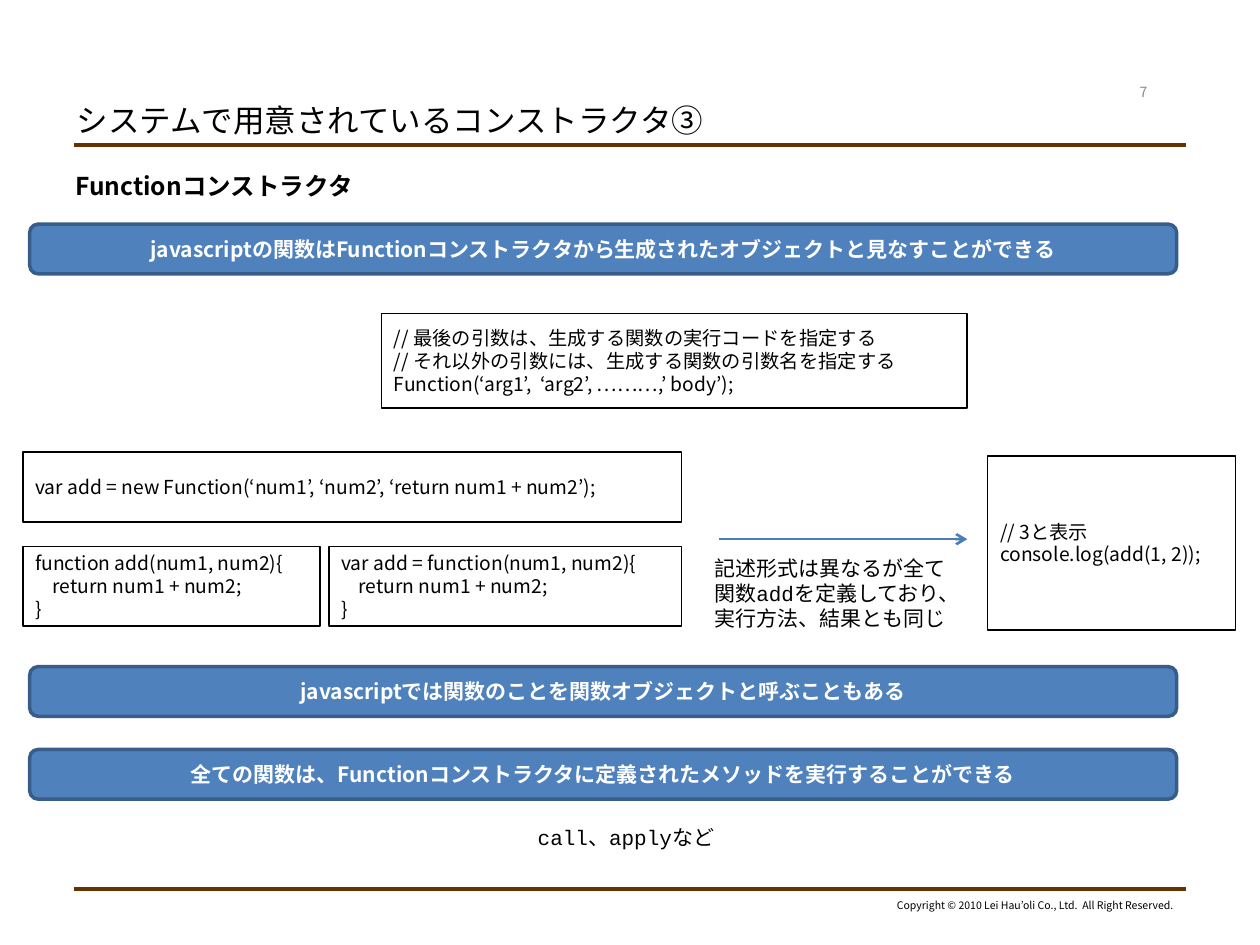
"""Build the slide on the Function constructor."""
from lxml.etree import SubElement
from pptx import Presentation
from pptx.dml.color import RGBColor
from pptx.enum.shapes import MSO_CONNECTOR as Line, MSO_SHAPE as Kind
from pptx.enum.text import MSO_ANCHOR as Anchor, PP_ALIGN as Align
from pptx.oxml.ns import qn
from pptx.util import Cm, Pt

BLACK = RGBColor(0x00, 0x00, 0x00)
WHITE = RGBColor(0xFF, 0xFF, 0xFF)
GRAY = RGBColor(0x89, 0x89, 0x89)
BROWN = RGBColor(0x66, 0x33, 0x00)
BLUE = RGBColor(0x4F, 0x81, 0xBD)
NAVY = RGBColor(0x38, 0x5D, 0x8A)
ARROW = RGBColor(0x4A, 0x7E, 0xBB)
SANS, MONO = "Noto Sans CJK JP", "Courier New"
PITCH = 1.19

RULES = [2.92, 17.93]
BARS = [
    (4.52, "javascriptの関数はFunctionコンストラクタから生成されたオブジェクトと見なすことができる"),
    (13.44, "javascriptでは関数のことを関数オブジェクトと呼ぶこともある"),
    (15.11, "全ての関数は、Functionコンストラクタに定義されたメソッドを実行することができる"),
]
CODES = [
    ((7.69, 6.32, 11.81, 1.91), [
        "// 最後の引数は、生成する関数の実行コードを指定する",
        "// それ以外の引数には、生成する関数の引数名を指定する",
        "Function(‘arg1’,  ‘arg2’, ………,’ body’);"]),
    ((0.46, 9.12, 13.28, 1.4), [
        "var add = new Function(‘num1’, ‘num2’, ‘return num1 + num2’);"]),
    ((0.46, 11.02, 6.0, 1.6), [
        "function add(num1, num2){", "    return num1 + num2;", "}"]),
    ((6.63, 11.02, 7.11, 1.6), [
        "var add = function(num1, num2){", "    return num1 + num2;", "}"]),
    ((19.91, 9.19, 5.0, 3.51), ["// 3と表示", "console.log(add(1, 2));"]),
]
TEXTS = [
    ((1.3, 1.93, 14.43, 0.99), ["システムで用意されているコンストラクタ③"],
     dict(size=18, anchor=Anchor.MIDDLE)),
    ((22.3, 1.55, 1.5, 0.61), ["7"],
     dict(size=8, color=GRAY, align=Align.CENTER, anchor=Anchor.MIDDLE)),
    ((1.27, 3.33, 22.86, 14.2), ["Functionコンストラクタ"], dict(size=14, bold=True)),
    ((14.15, 11.07, 5.69, 1.78),
     ["記述形式は異なるが全て", "関数addを定義しており、", "実行方法、結果とも同じ"],
     dict(size=12, font=MONO, wrap=False)),
    ((10.59, 16.51, 4.37, 0.76), ["call、applyなど"],
     dict(size=12, font=MONO, wrap=False)),
    ((17.75, 18.01, 6.15, 0.51),
     ["Copyright © 2010 Lei Hau’oli Co., Ltd.  All Right Reserved."],
     dict(size=6, align=Align.RIGHT, wrap=False)),
]


def write(shape, lines, size, color=BLACK, font=SANS, bold=False,
          align=Align.LEFT, anchor=Anchor.TOP, wrap=True):
    frame = shape.text_frame
    frame.word_wrap = wrap
    frame.vertical_anchor = anchor
    for i, line in enumerate(lines):
        para = frame.paragraphs[0] if i == 0 else frame.add_paragraph()
        para.alignment = align
        para.line_spacing = Pt(round(size * PITCH, 1))
        run = para.add_run()
        run.text = line
        run.font.size = Pt(size)
        run.font.bold = bold
        run.font.color.rgb = color
        run.font.name = font
        SubElement(run.font._element, qn("a:ea"), typeface=SANS)


def add_box(slide, kind, place, edge, width, fill=None):
    box = slide.shapes.add_shape(kind, *map(Cm, place))
    box.shadow.inherit = False
    if fill is None:
        box.fill.background()
    else:
        box.fill.solid()
        box.fill.fore_color.rgb = fill
    box.line.color.rgb = edge
    box.line.width = Pt(width)
    return box


def add_line(slide, left, right, top, color, width):
    line = slide.shapes.add_connector(
        Line.STRAIGHT, Cm(left), Cm(top), Cm(right), Cm(top))
    line.line.color.rgb = color
    line.line.width = Pt(width)
    SubElement(line._element.spPr, qn("a:effectLst"))
    return line


def main():
    deck = Presentation()
    deck.slide_width, deck.slide_height = Cm(25.4), Cm(19.05)
    slide = deck.slides.add_slide(deck.slide_layouts[6])
    for top in RULES:
        add_line(slide, 1.5, 23.9, top, BROWN, 2.25)
    for place, lines, style in TEXTS:
        write(slide.shapes.add_textbox(*map(Cm, place)), lines, **style)
    for place, lines in CODES:
        box = add_box(slide, Kind.RECTANGLE, place, BLACK, 1)
        write(box, lines, 11, anchor=Anchor.MIDDLE)
    for top, line in BARS:
        bar = add_box(slide, Kind.ROUNDED_RECTANGLE, (0.6, top, 23.12, 1),
                      NAVY, 2, BLUE)
        write(bar, [line], 12, WHITE, bold=True,
              align=Align.CENTER, anchor=Anchor.MIDDLE)
    arrow = add_line(slide, 14.5, 19.5, 10.87, ARROW, 1.5)
    SubElement(arrow.line._get_or_add_ln(), qn("a:tailEnd"), type="arrow")
    deck.save("out.pptx")


if __name__ == "__main__":
    main()
